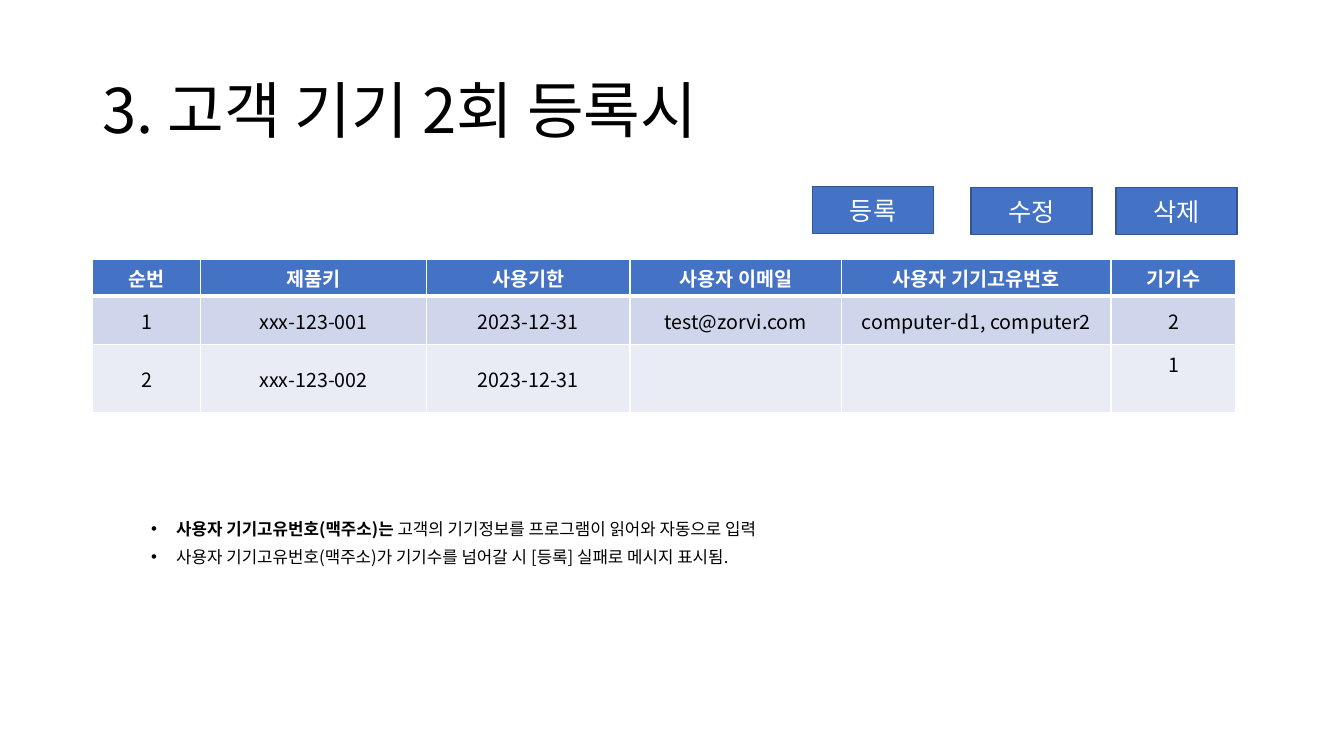
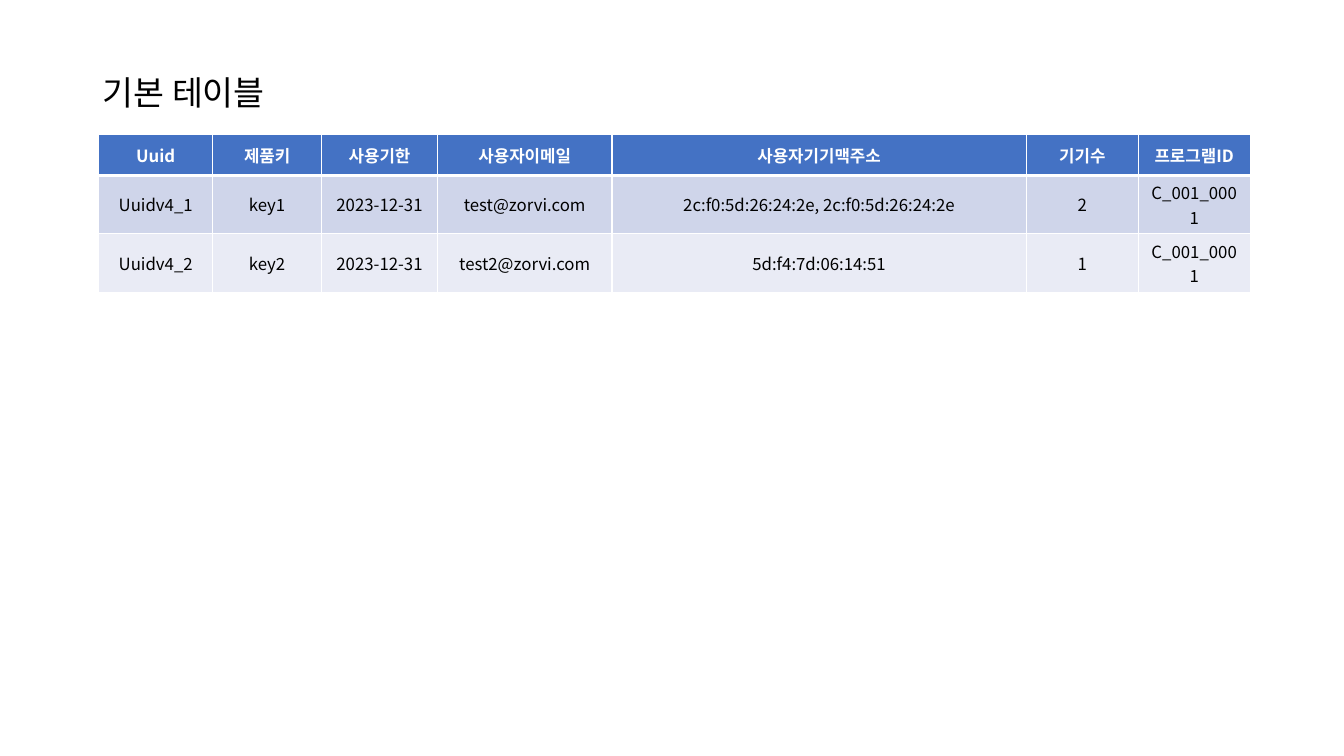
from dataclasses import dataclass

from pptx import Presentation
from pptx.dml.color import RGBColor
from pptx.enum.shapes import MSO_SHAPE
from pptx.enum.text import MSO_ANCHOR as ANCHOR, PP_ALIGN as ALIGN
from pptx.oxml.ns import qn
from pptx.util import Inches, Pt
from lxml.etree import SubElement


@dataclass(frozen=True)
class Theme:
    font: str = "Noto Sans CJK KR"
    ink: str = "000000"
    paper: str = "FFFFFF"
    accent: str = "4472C4"
    outline: str = "325491"
    bands: tuple = ("CFD5EA", "E9EBF5")
    button_size: int = 18
    bullet_size: int = 12
    line_spacing: float = 0.9
    bullet_gap: int = 7
    rule: int = 1
    header_rule: int = 3


def rgb(code):
    return RGBColor.from_string(code)


class Deck:
    def __init__(self, theme):
        self.theme = theme
        self.prs = Presentation()
        self.prs.slide_width = Inches(13.33)
        self.prs.slide_height = Inches(7.5)
        self.slide = None

    def new_slide(self):
        self.slide = self.prs.slides.add_slide(self.prs.slide_layouts[6])

    def run(self, p, text, size, color=None, bold=False):
        r = p.add_run()
        r.text = text
        r.font.size = Pt(size)
        r.font.bold = bold
        r.font.name = self.theme.font
        r.font.color.rgb = rgb(color or self.theme.ink)
        SubElement(r.font._element, qn("a:ea")).set("typeface", self.theme.font)

    def text_frame(self, left, top, width, height, anchor):
        box = self.slide.shapes.add_textbox(
            Inches(left), Inches(top), Inches(width), Inches(height))
        tf = box.text_frame
        tf.word_wrap = True
        tf.vertical_anchor = anchor
        return tf

    def title(self, text, size, height):
        tf = self.text_frame(0.92, 0.4, 11.5, height, ANCHOR.MIDDLE)
        p = tf.paragraphs[0]
        p.line_spacing = self.theme.line_spacing
        self.run(p, text, size)

    def button(self, text, left, top):
        sp = self.slide.shapes.add_shape(
            MSO_SHAPE.RECTANGLE, Inches(left), Inches(top), Inches(1.2), Inches(0.47))
        sp.shadow.inherit = False
        sp.fill.solid()
        sp.fill.fore_color.rgb = rgb(self.theme.accent)
        sp.line.color.rgb = rgb(self.theme.outline)
        sp.line.width = Pt(1)
        sp.text_frame.vertical_anchor = ANCHOR.MIDDLE
        p = sp.text_frame.paragraphs[0]
        p.alignment = ALIGN.CENTER
        self.run(p, text, self.theme.button_size, self.theme.paper)

    def bullets(self, items, left, top, width, height):
        """Bulleted list; each item is a list of (text, bold) runs."""
        tf = self.text_frame(left, top, width, height, ANCHOR.TOP)
        for i, runs in enumerate(items):
            p = tf.add_paragraph() if i else tf.paragraphs[0]
            p.line_spacing = self.theme.line_spacing
            p.space_before = Pt(self.theme.bullet_gap)
            pPr = p._p.get_or_add_pPr()
            pPr.set("marL", str(Inches(0.25)))
            pPr.set("indent", str(-Inches(0.25)))
            SubElement(pPr, qn("a:buFont")).set("typeface", "Arial")
            SubElement(pPr, qn("a:buChar")).set("char", "•")
            for text, bold in runs:
                self.run(p, text, self.theme.bullet_size, bold=bold)

    def cell_borders(self, cell, bottom):
        tcPr = cell._tc.get_or_add_tcPr()
        rule = self.theme.rule
        for side, width in zip("LRTB", (rule, rule, rule, bottom)):
            ln = SubElement(tcPr, qn(f"a:ln{side}"), w=str(Pt(width)))
            fill = SubElement(ln, qn("a:solidFill"))
            SubElement(fill, qn("a:srgbClr")).set("val", self.theme.paper)

    def table(self, rows, left, top, widths, heights, size):
        """First row is the header; the others take the band colours in turn."""
        th = self.theme
        frame = self.slide.shapes.add_table(
            len(rows), len(widths), Inches(left), Inches(top),
            Inches(sum(widths)), Inches(sum(heights)))
        table = frame.table
        table.first_row = table.horz_banding = False
        for column, width in zip(table.columns, widths):
            column.width = Inches(width)
        for i, (values, height) in enumerate(zip(rows, heights)):
            table.rows[i].height = Inches(height)
            header = i == 0
            fill = th.accent if header else th.bands[(i - 1) % len(th.bands)]
            for j, value in enumerate(values):
                cell = table.cell(i, j)
                self.cell_borders(cell, th.header_rule if header else th.rule)
                cell.fill.solid()
                cell.fill.fore_color.rgb = rgb(fill)
                cell.vertical_anchor = ANCHOR.MIDDLE
                if value:
                    p = cell.text_frame.paragraphs[0]
                    p.alignment = ALIGN.CENTER
                    self.run(p, value, size, th.paper if header else th.ink, header)
        return table


def registration_slide(deck):
    deck.new_slide()
    deck.title("3. 고객 기기 2회 등록시", 44, 1.45)
    table = deck.table(
        [["순번", "제품키", "사용기한", "사용자 이메일", "사용자 기기고유번호", "기기수"],
         ["1", "xxx-123-001", "2023-12-31", "test@zorvi.com", "computer-d1, computer2", "2"],
         ["2", "xxx-123-002", "2023-12-31", "", "", "1"]],
        0.92, 2.57, [1.07, 2.24, 2.02, 2.1, 2.67, 1.24], [0.37, 0.48, 0.67], 14)
    table.cell(2, 5).vertical_anchor = ANCHOR.TOP
    for text, left, top in (("등록", 8.06, 1.85), ("수정", 9.63, 1.86), ("삭제", 11.07, 1.86)):
        deck.button(text, left, top)
    deck.bullets(
        [[("사용자 기기고유번호(맥주소)는 ", True),
          ("고객의 기기정보를 프로그램이 읽어와 자동으로 입력", False)],
         [("사용자 기기고유번호(맥주소)가 기기수를 넘어갈 시 [등록] 실패로 메시지 표시됨.", False)]],
        1.4, 5.12, 11.5, 1.54)


def base_table_slide(deck):
    deck.new_slide()
    deck.title("기본 테이블", 24, 1.07)
    deck.table(
        [["Uuid", "제품키", "사용기한", "사용자이메일", "사용자기기맥주소", "기기수", "프로그램ID"],
         ["Uuidv4_1", "key1", "2023-12-31", "test@zorvi.com",
          "2c:f0:5d:26:24:2e, 2c:f0:5d:26:24:2e", "2", "C_001_0001"],
         ["Uuidv4_2", "key2", "2023-12-31", "test2@zorvi.com",
          "5d:f4:7d:06:14:51", "1", "C_001_0001"]],
        0.98, 1.33, [1.13, 1.08, 1.15, 1.73, 4.11, 1.11, 1.11], [0.41, 0.58, 0.58], 12)


def main():
    deck = Deck(Theme())
    registration_slide(deck)
    base_table_slide(deck)
    deck.prs.save("out.pptx")


if __name__ == "__main__":
    main()
